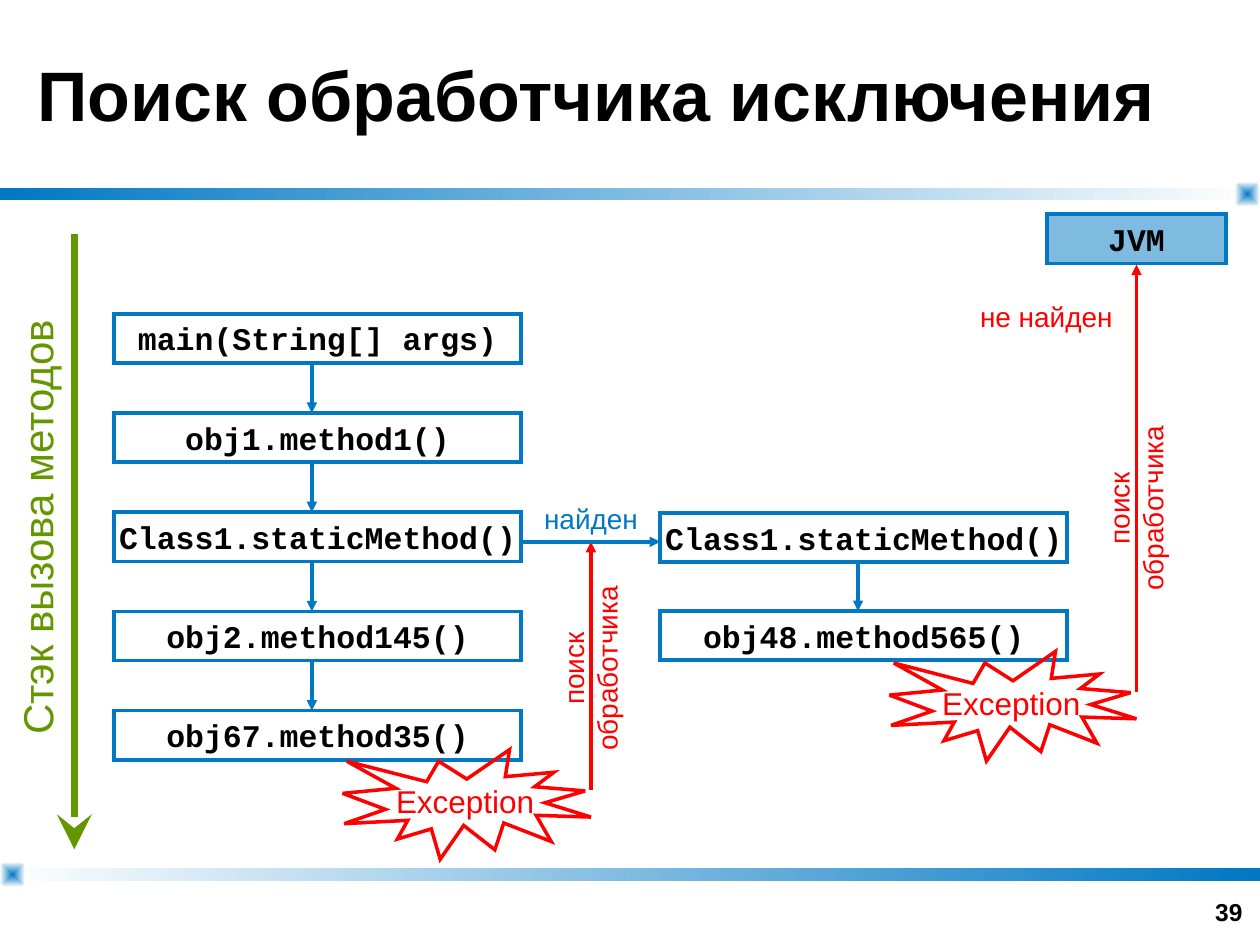
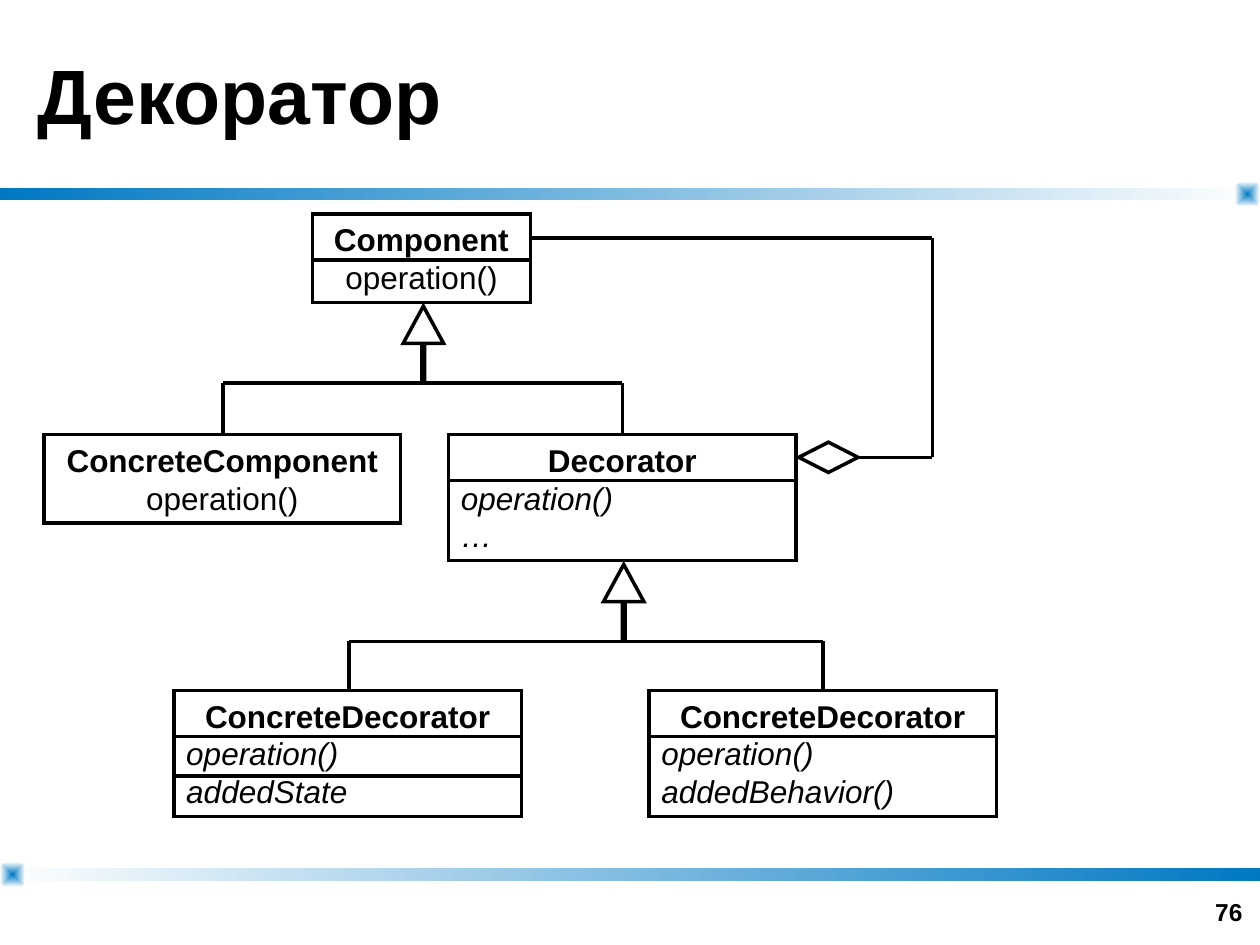
from collections import namedtuple
from dataclasses import dataclass

from lxml import etree
from pptx import Presentation
from pptx.dml.color import RGBColor
from pptx.enum.shapes import MSO_CONNECTOR, MSO_SHAPE
from pptx.enum.text import MSO_ANCHOR, PP_ALIGN
from pptx.oxml.ns import qn
from pptx.util import Inches, Pt

RECT, ROUND = MSO_SHAPE.RECTANGLE, MSO_SHAPE.ROUNDED_RECTANGLE
SEAL, ARROW, GEM = MSO_SHAPE.EXPLOSION1, MSO_SHAPE.RIGHT_ARROW, MSO_SHAPE.DIAMOND
LINE = MSO_CONNECTOR.STRAIGHT
LEFT, MID, RIGHT = PP_ALIGN.LEFT, PP_ALIGN.CENTER, PP_ALIGN.RIGHT
TOP, CENTER, FOOT = MSO_ANCHOR.TOP, MSO_ANCHOR.MIDDLE, MSO_ANCHOR.BOTTOM

# The slide is a grid of square cells
COLS, ROWS, CELL = 100, 75, Inches(0.1)


@dataclass(frozen=True)
class Theme:
    blue: str = "0078C3"
    green: str = "649600"
    red: str = "FF0000"
    black: str = "000000"
    white: str = "FFFFFF"
    sans: str = "Arial"
    mono: str = "Courier New"
    body: int = 18
    note: int = 16
    side: int = 24
    page: int = 14
    thin: int = 2
    thick: int = 4


T = Theme()
Box = namedtuple("Box", "x y w h")


def rgb(code):
    return RGBColor.from_string(code)


def cells(*counts):
    return [round(n * CELL) for n in counts]


# Basic parts
def write(shape, text, size, color=T.black, font=T.sans, bold=False,
          align=MID, anchor=CENTER, wrap=False):
    frame = shape.text_frame
    frame.text = text
    frame.word_wrap = wrap
    frame.vertical_anchor = anchor
    frame.paragraphs[0].space_before = Pt(1)
    for para in frame.paragraphs:
        para.alignment = align
        for run in para.runs:
            run.font.size, run.font.name = Pt(size), font
            run.font.bold = bold
            run.font.color.rgb = rgb(color)
    return frame


def label(slide, box, text, size, turn=0, **style):
    shape = slide.shapes.add_textbox(*cells(*box))
    shape.rotation = turn
    write(shape, text, size, **style)


def draw(slide, kind, box, line=None, fill=None):
    shape = slide.shapes.add_shape(kind, *cells(*box))
    shape.shadow.inherit = False
    if fill:
        shape.fill.solid()
        shape.fill.fore_color.rgb = rgb(fill)
    else:
        shape.fill.background()
    if line:
        shape.line.color.rgb = rgb(line)
        shape.line.width = Pt(T.thin)
        edge = shape.element.spPr.find(qn("a:ln"))
        etree.SubElement(edge, qn("a:miter"), lim="800000")
    else:
        shape.line.fill.background()
    return shape


def wire(slide, x1, y1, x2, y2, color=T.black, width=T.thin, tip=None, size="med"):
    line = slide.shapes.add_connector(LINE, *cells(x1, y1, x2, y2))
    line.line.color.rgb = rgb(color)
    line.line.width = Pt(width)
    props = line.element.spPr
    if tip:
        etree.SubElement(props.find(qn("a:ln")), qn("a:tailEnd"),
                         type=tip, w=size, len=size)
    etree.SubElement(props, qn("a:effectLst"))


def shade(shape, start, end, core=False):
    shape.fill.gradient()
    shape.fill.gradient_angle = 0
    for stop, code in zip(shape.fill.gradient_stops, (start, end)):
        stop.color.rgb = rgb(code)
    if core:
        lin = shape.element.spPr.find(".//" + qn("a:lin"))
        path = etree.Element(qn("a:path"), path="rect")
        etree.SubElement(path, qn("a:fillToRect"), dict.fromkeys("ltrb", "50000"))
        lin.getparent().replace(lin, path)


# Shared frame: bands, corner gems, title and page number
def base(deck, title, size, page):
    slide = deck.slides.add_slide(deck.slide_layouts[6])
    bands = ((14.9, T.blue, T.white, COLS - 2), (68.9, T.white, T.blue, 0))
    for y, start, end, gem in bands:
        shade(draw(slide, RECT, Box(0, y, COLS, 1)), start, end)
        knob = draw(slide, ROUND, Box(gem, y - 0.5, 2, 2))
        knob.adjustments[0] = 0.32
        shade(knob, T.blue, T.white, core=True)
    label(slide, Box(76.3, 69, 23.3, 5), page, T.page, bold=True,
          align=RIGHT, anchor=FOOT, wrap=True)
    label(slide, Box(2, 0, COLS - 4, 14.9), title, size, bold=True,
          align=LEFT, wrap=True)
    return slide


# Call stack: evenly spaced calls joined by arrows
def call(slide, box, text, fill=None):
    shape = draw(slide, RECT, box, T.blue, fill)
    write(shape, text, T.body, font=T.mono, bold=True)
    return shape


def chain(slide, box, names):
    tall = 3.9
    step = (box.h - tall) / (len(names) - 1)
    stem = box.x + 15.7
    for i, name in enumerate(names):
        y = box.y + i * step
        call(slide, Box(box.x, y, box.w, tall), name)
        if i:
            wire(slide, stem, y - step + tall, stem, y, T.blue, tip="triangle")


# Exception burst with the search arrow rising from its right edge
def throw(slide, box, share):
    right, foot = box.x + box.w, box.y + box.h
    burst = draw(slide, SEAL, Box(box.x, foot - 8.7, box.w, 8.7), T.red)
    write(burst, "Exception", T.body, T.red)
    start = foot - 5.5
    wire(slide, right, start, right, box.y, T.red, tip="triangle")
    mid = start - share * (start - box.y)
    label(slide, Box(right - 7.6, mid - 3.2, 15.1, 6.4), "поиск\nобработчика",
          T.note, turn=270, color=T.red, anchor=TOP)


# Green axis with its upright caption
def axis(slide, box):
    x, mid = box.x + box.w, box.y + box.h / 2
    label(slide, Box(box.x + 0.5 - 17.6, mid - 3.8, 35.2, 5),
          "Стэк вызова методов", T.side, turn=270, color=T.green,
          align=LEFT, anchor=TOP)
    wire(slide, x, box.y, x, box.y + box.h, T.green, T.thick, "stealth", "lg")


def search(deck):
    slide = base(deck, "Поиск обработчика исключения", 40, "39")
    axis(slide, Box(2.4, 18.6, 3.5, 48.8))
    chain(slide, Box(9.05, 24.9, 32.3, 35.4), (
        "main(String[] args)", "obj1.method1()", "Class1.staticMethod()",
        "obj2.method145()", "obj67.method35()"))
    chain(slide, Box(52.4, 40.7, 32.3, 11.7),
          ("Class1.staticMethod()", "obj48.method565()"))
    throw(slide, Box(27.2, 43, 19.7, 25.2), 0.49)
    throw(slide, Box(70.6, 21, 19.6, 39.4), 0.43)
    # Outcomes of the search
    wire(slide, 41.3, 43, 52.4, 43, T.blue, tip="triangle")
    label(slide, Box(42.2, 39.3, 10.2, 3.7), "найден", T.note,
          color=T.blue, align=LEFT, anchor=TOP)
    label(slide, Box(76.8, 23.3, 13.2, 3.7), "не найден", T.note,
          color=T.red, align=LEFT, anchor=TOP)
    jvm = call(slide, Box(83.1, 17, 14.2, 3.9), "JVM", T.blue)
    tint = jvm.element.spPr.find(qn("a:solidFill")).find(qn("a:srgbClr"))
    etree.SubElement(tint, qn("a:alpha"), val="50000")


# Class card: bold name, members, dividing rules
def card(slide, box, name, parts, rules=1, slant=True):
    shape = draw(slide, RECT, box, T.black, T.white)
    text = "\n".join((name, *parts))
    frame = write(shape, text, T.body, anchor=TOP, wrap=True)
    head, *rest = frame.paragraphs
    head.runs[0].font.bold = True
    for para in rest:
        para.alignment = LEFT if slant else MID
        para.runs[0].font.italic = slant
    for i in range(rules):
        y = box.y + 3.65 + 3.15 * i
        wire(slide, box.x, y, box.x + box.w, y)


# Inheritance: hollow arrow over a bar with two drops
def fork(slide, box, stem):
    long, wide = 5.9, 3.2
    right, bar = box.x + box.w, box.y + 6.1
    head = draw(slide, ARROW, Box(box.x + stem - long / 2,
                                  box.y + (long - wide) / 2, long, wide),
                T.black, T.white)
    head.rotation = 270
    head.adjustments[0], head.adjustments[1] = 0.07, 0.92
    wire(slide, box.x, bar, right, bar)
    for x in (box.x, right):
        wire(slide, x, box.y + box.h, x, bar)


# Aggregation: diamond and a line back around the right side
def loop(slide, box):
    right, foot = box.x + box.w, box.y + box.h
    gem = Box(box.x + 21.3, foot - 1.2, 4.7, 2.4)
    draw(slide, GEM, gem, T.black, T.white)
    wire(slide, box.x, box.y, right, box.y)
    wire(slide, right, foot, right, box.y)
    wire(slide, gem.x + gem.w, foot, right, foot)


def classes(deck):
    slide = base(deck, "Декоратор", 44, "76")
    act = "operation()"
    card(slide, Box(24.8, 17, 17.3, 7), "Component", [act], slant=False)
    card(slide, Box(3.5, 34.5, 28.3, 7), "ConcreteComponent", [act],
         rules=0, slant=False)
    card(slide, Box(35.6, 34.5, 27.6, 10), "Decorator", [act, "…"])
    card(slide, Box(13.8, 54.8, 27.6, 10), "ConcreteDecorator",
         [act, "addedState"], rules=2)
    card(slide, Box(51.5, 54.8, 27.6, 10), "ConcreteDecorator",
         [act, "addedBehavior()"])
    fork(slide, Box(17.7, 24.3, 31.7, 10.1), 15.9)
    fork(slide, Box(27.7, 44.8, 37.6, 10), 21.8)
    loop(slide, Box(42.1, 18.9, 31.9, 17.4))


def main():
    deck = Presentation()
    deck.slide_width, deck.slide_height = cells(COLS, ROWS)
    search(deck)
    classes(deck)
    deck.save("out.pptx")


if __name__ == "__main__":
    main()
